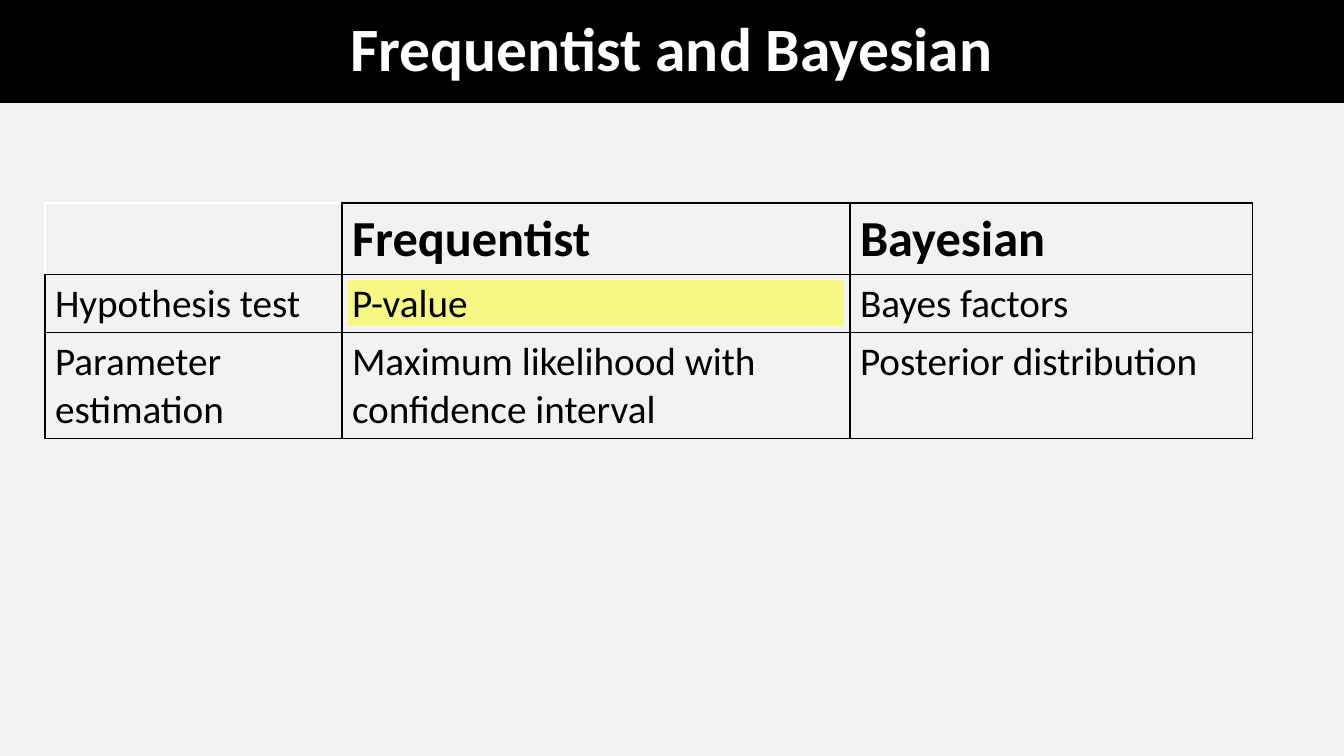
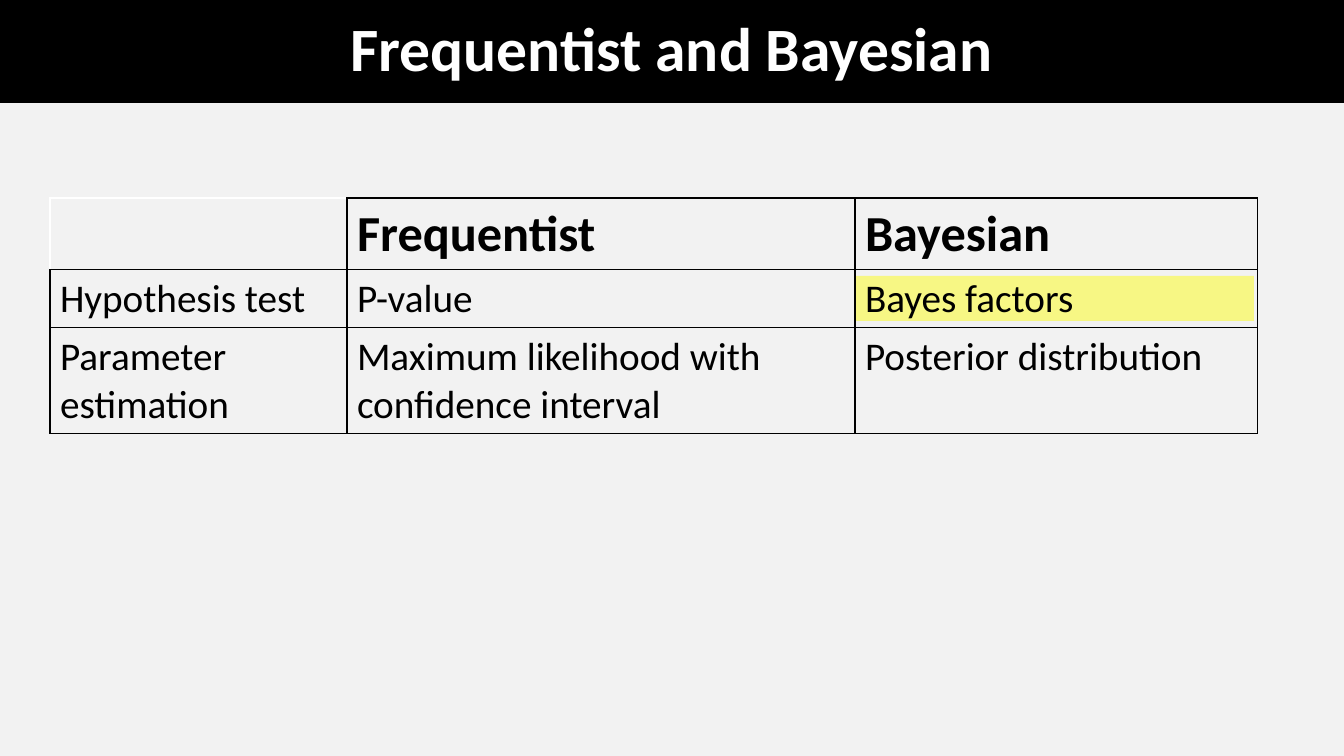
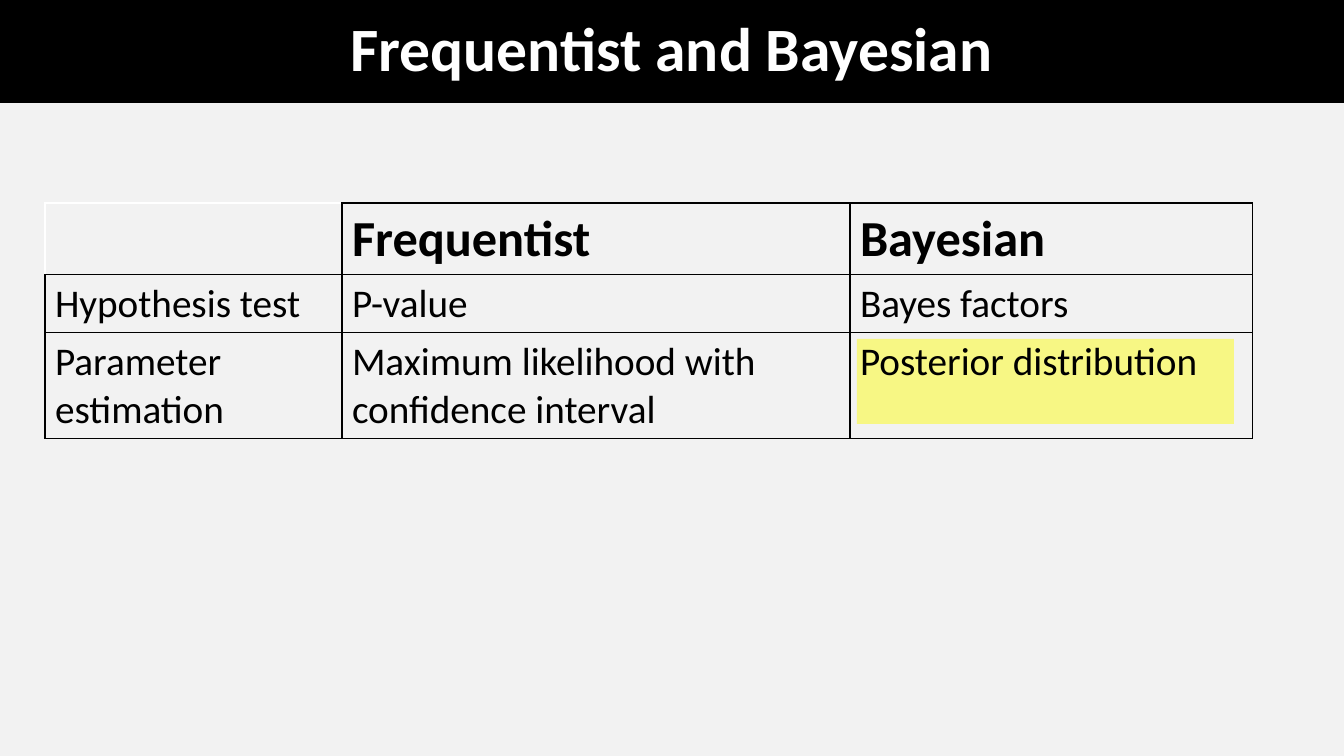
import pptx
import pptx.dml.color
import pptx.enum.shapes
import pptx.enum.text
import pptx.oxml.ns
import pptx.util
import lxml.etree

SLIDE_WIDTH, SLIDE_HEIGHT = 1344, 756
EMU_PER_PX = 12192000 / SLIDE_WIDTH
TITLE_HEIGHT = 103
FONT = "Calibri"

BLACK = pptx.dml.color.RGBColor(0x00, 0x00, 0x00)
WHITE = pptx.dml.color.RGBColor(0xFF, 0xFF, 0xFF)
PALE_GREY = pptx.dml.color.RGBColor(0xF2, 0xF2, 0xF2)
YELLOW = pptx.dml.color.RGBColor(0xFF, 0xFF, 0x00)
HIGHLIGHT_OPACITY = 45

TITLE = "Frequentist and Bayesian"
COMPARISON = [
    ["", "Frequentist", "Bayesian"],
    ["Hypothesis test", "P-value", "Bayes factors"],
    ["Parameter estimation", "Maximum likelihood with confidence interval", "Posterior distribution"],
]
COLUMN_WIDTHS = [297, 508, 403]
ROW_HEIGHTS = [71, 58, 106]

STEPS = [
    {"table_at": (45, 203), "highlight": (348, 280, 496, 46)},
    {"table_at": (50, 198), "highlight": (856, 276, 398, 45)},
    {"table_at": (45, 203), "highlight": (857, 339, 377, 85)},
]


def px(length):
    return pptx.util.Emu(round(length * EMU_PER_PX))


def style_font(paragraph, size, color, bold):
    for run in paragraph.runs:
        run.font.name = FONT
        run.font.size = pptx.util.Pt(size)
        run.font.bold = bold
        run.font.color.rgb = color


def add_child(parent, tag, **attributes):
    return lxml.etree.SubElement(parent, pptx.oxml.ns.qn(tag), **attributes)


def set_title(slide):
    band = slide.shapes.title
    band.left, band.top = px(0), px(0)
    band.width, band.height = px(SLIDE_WIDTH), px(TITLE_HEIGHT)
    band.fill.solid()
    band.fill.fore_color.rgb = BLACK
    frame = band.text_frame
    frame.text = TITLE
    frame.auto_size = pptx.enum.text.MSO_AUTO_SIZE.NONE
    frame.vertical_anchor = pptx.enum.text.MSO_ANCHOR.MIDDLE
    heading = frame.paragraphs[0]
    heading.alignment = pptx.enum.text.PP_ALIGN.CENTER
    heading.line_spacing = 0.9
    style_font(heading, 44, WHITE, True)


def add_highlight(slide, left, top, width, height):
    marker = slide.shapes.add_shape(
        pptx.enum.shapes.MSO_SHAPE.RECTANGLE, px(left), px(top), px(width), px(height))
    marker.shadow.inherit = False
    marker.line.fill.background()
    marker.fill.solid()
    marker.fill.fore_color.rgb = YELLOW
    color = marker.fill._xPr.find(".//" + pptx.oxml.ns.qn("a:srgbClr"))
    add_child(color, "a:alpha", val=str(HIGHLIGHT_OPACITY * 1000))


def set_borders(cell, left, right, top, bottom):
    properties = cell._tc.get_or_add_tcPr()
    sides = {"a:lnL": left, "a:lnR": right, "a:lnT": top, "a:lnB": bottom}
    for tag, color in sides.items():
        border = add_child(properties, tag, w=str(pptx.util.Pt(1)))
        fill = add_child(border, "a:solidFill")
        add_child(fill, "a:srgbClr", val=str(color))


def add_comparison(slide, left, top):
    table = slide.shapes.add_table(
        len(ROW_HEIGHTS), len(COLUMN_WIDTHS), px(left), px(top),
        px(sum(COLUMN_WIDTHS)), px(sum(ROW_HEIGHTS))).table
    table.first_row = False
    table.horz_banding = False
    for column, width in zip(table.columns, COLUMN_WIDTHS):
        column.width = px(width)
    for row_index, (row, height) in enumerate(zip(table.rows, ROW_HEIGHTS)):
        row.height = px(height)
        is_header = row_index == 0
        for column_index, cell in enumerate(row.cells):
            outer = WHITE if is_header and column_index == 0 else BLACK
            set_borders(cell, outer, BLACK, outer, BLACK)
            cell.fill.background()
            cell.text_frame.text = COMPARISON[row_index][column_index]
            style_font(cell.text_frame.paragraphs[0], 36 if is_header else 28, BLACK, is_header)


def main():
    deck = pptx.Presentation()
    deck.slide_width, deck.slide_height = px(SLIDE_WIDTH), px(SLIDE_HEIGHT)
    backdrop = deck.slide_master.background.fill
    backdrop.solid()
    backdrop.fore_color.rgb = PALE_GREY
    title_only = deck.slide_layouts[5]
    for step in STEPS:
        slide = deck.slides.add_slide(title_only)
        set_title(slide)
        add_highlight(slide, *step["highlight"])
        add_comparison(slide, *step["table_at"])
    deck.save("out.pptx")


if __name__ == "__main__":
    main()
